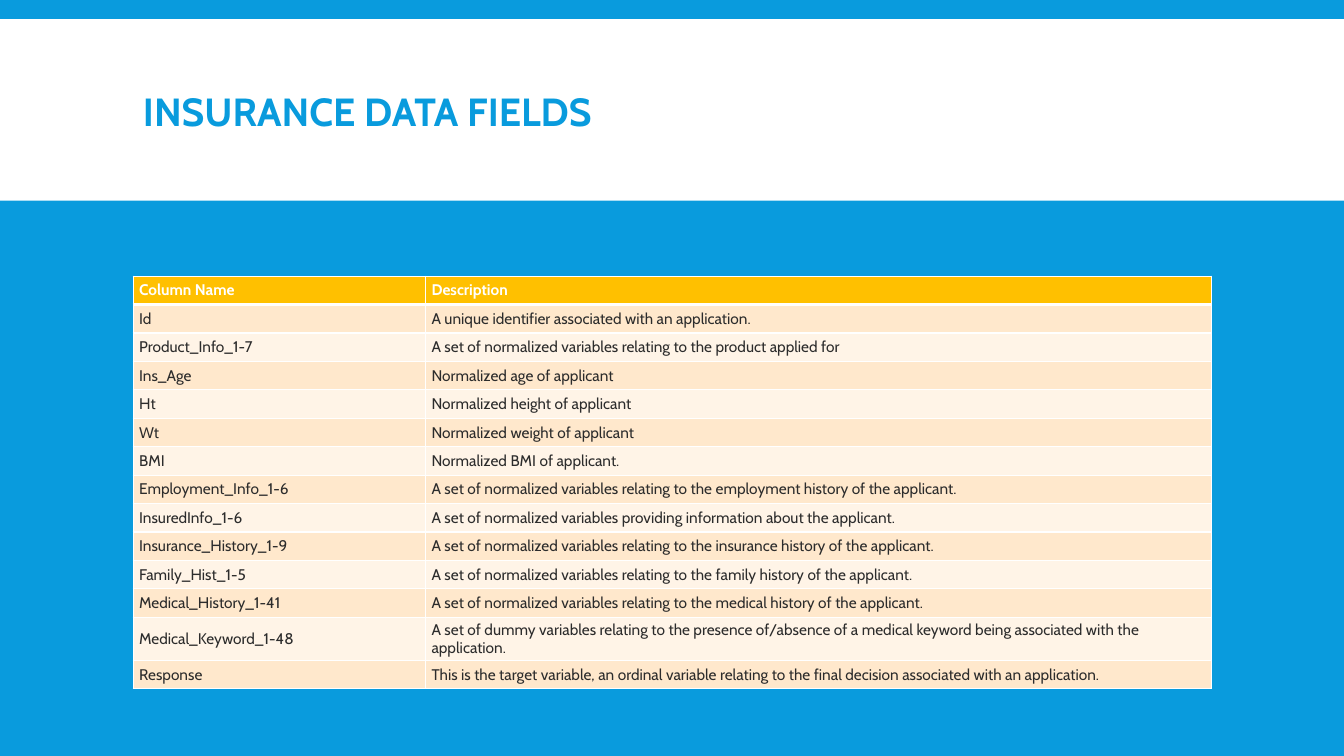
from lxml.etree import SubElement
from pptx import Presentation
from pptx.dml.color import RGBColor
from pptx.enum.shapes import MSO_SHAPE
from pptx.enum.text import MSO_ANCHOR
from pptx.oxml.ns import qn
from pptx.util import Inches, Pt

BLUE, WHITE, DARK, AMBER = "099BDD", "FFFFFF", "2C2C2C", "FFC000"
BANDS = ["FFE8CC", "FFF4E7"]
FONT = "Cabin"
FIELDS = [
    ("Column Name", "Description"),
    ("Id", "A unique identifier associated with an application."),
    ("Product_Info_1-7", "A set of normalized variables relating to the product applied for"),
    ("Ins_Age", "Normalized age of applicant"),
    ("Ht", "Normalized height of applicant"),
    ("Wt", "Normalized weight of applicant"),
    ("BMI", "Normalized BMI of applicant."),
    ("Employment_Info_1-6",
     "A set of normalized variables relating to the employment history of the applicant."),
    ("InsuredInfo_1-6", "A set of normalized variables providing information about the applicant."),
    ("Insurance_History_1-9",
     "A set of normalized variables relating to the insurance history of the applicant."),
    ("Family_Hist_1-5",
     "A set of normalized variables relating to the family history of the applicant."),
    ("Medical_History_1-41",
     "A set of normalized variables relating to the medical history of the applicant."),
    ("Medical_Keyword_1-48",
     "A set of dummy variables relating to the presence of/absence of a medical keyword "
     "being associated with the application."),
    ("Response",
     "This is the target variable, an ordinal variable relating to the final decision "
     "associated with an application."),
]


def color(hex_string):
    """Turn a hex string into a colour."""
    return RGBColor.from_string(hex_string)


def paint(fill, hex_string):
    """Give a fill one solid colour."""
    fill.solid()
    fill.fore_color.rgb = color(hex_string)


def add_run(paragraph, text, size, hex_string, bold):
    """Add one styled run to a paragraph."""
    run = paragraph.add_run()
    run.text = text
    run.font.name = FONT
    run.font.size = Pt(size)
    run.font.bold = bold
    run.font.color.rgb = color(hex_string)


def add_borders(cell, top, bottom):
    """Draw white borders around a cell, widths in points."""
    properties = cell._tc.get_or_add_tcPr()
    for side, width in (("L", 1), ("R", 1), ("T", top), ("B", bottom)):
        line = SubElement(properties, qn(f"a:ln{side}"), w=str(Pt(width)))
        SubElement(SubElement(line, qn("a:solidFill")), qn("a:srgbClr"), val=WHITE)


def add_title_band(slide, left, top, width, height):
    """Place the white band and the slide title inside it."""
    band = slide.shapes.add_shape(
        MSO_SHAPE.RECTANGLE, Inches(left), Inches(top), Inches(width), Inches(height))
    band.shadow.inherit = False
    paint(band.fill, WHITE)
    band.line.fill.background()
    title = slide.shapes.add_textbox(
        Inches(left + 1.32), Inches(top + 0.12), Inches(10.7), Inches(height - 0.15))
    frame = title.text_frame
    frame.word_wrap = True
    frame.vertical_anchor = MSO_ANCHOR.MIDDLE
    paragraph = frame.paragraphs[0]
    paragraph.line_spacing = 0.85
    add_run(paragraph, "INSURANCE DATA FIELDS", 28, BLUE, True)


def add_field_table(slide, left, top, width, height):
    """Place the banded table of data fields."""
    table = slide.shapes.add_table(
        len(FIELDS), 2, Inches(left), Inches(top), Inches(width), Inches(height)).table
    name_width = 2.9
    table.columns[0].width = Inches(name_width)
    table.columns[1].width = Inches(width - name_width)
    for row, texts in enumerate(FIELDS):
        header = row == 0
        table.rows[row].height = Inches(height / len(FIELDS))
        for column, text in enumerate(texts):
            cell = table.cell(row, column)
            cell.margin_left = cell.margin_right = Inches(0.06)
            cell.margin_top = cell.margin_bottom = Inches(0.03)
            cell.vertical_anchor = MSO_ANCHOR.MIDDLE
            add_borders(cell, 3 if row == 1 else 1, 3 if header else 1)
            paint(cell.fill, AMBER if header else BANDS[(row - 1) % 2])
            add_run(cell.text_frame.paragraphs[0], text, 11, WHITE if header else DARK, header)


def build():
    """Build and save the presentation."""
    presentation = Presentation()
    presentation.slide_width = Inches(13.33)
    presentation.slide_height = Inches(7.5)
    slide = presentation.slides.add_slide(presentation.slide_layouts[6])
    paint(slide.background.fill, BLUE)
    add_title_band(slide, 0, 0.19, 13.33, 1.8)
    add_field_table(slide, 1.32, 2.74, 10.7, 3.95)
    presentation.save("out.pptx")


build()
